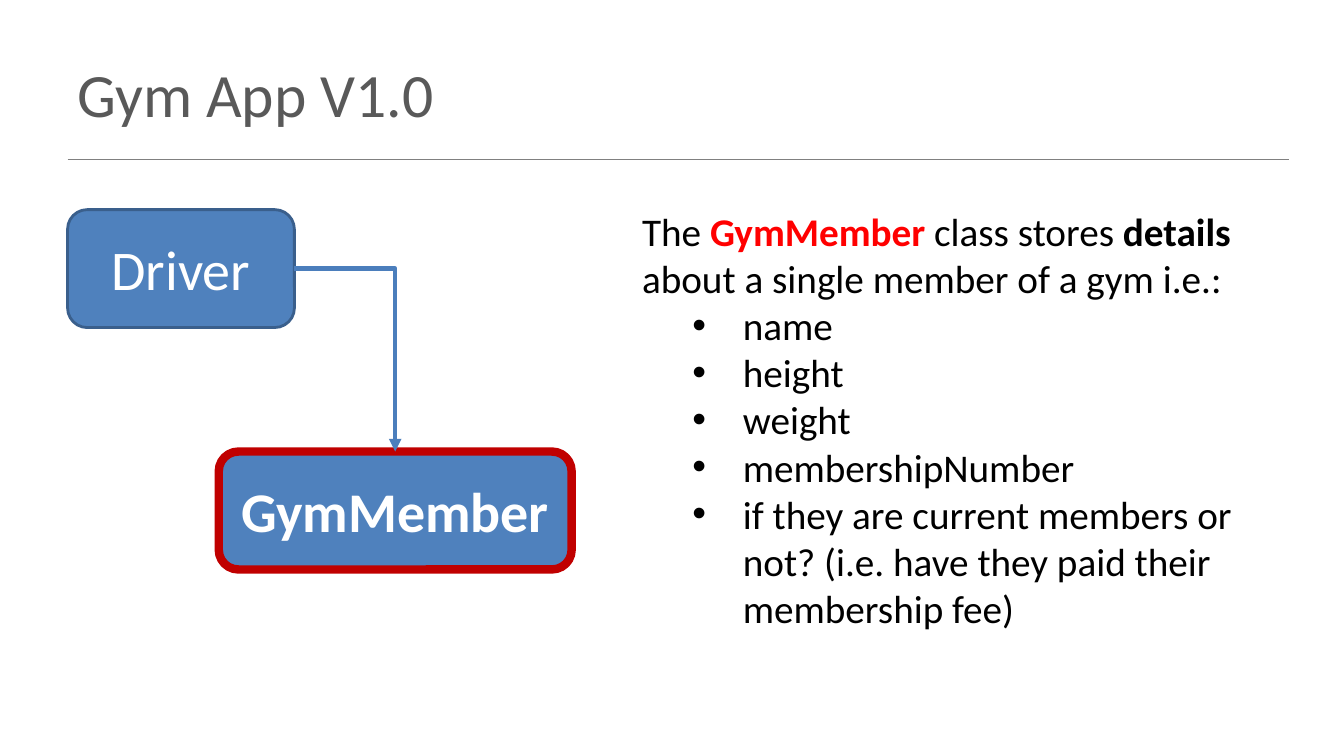
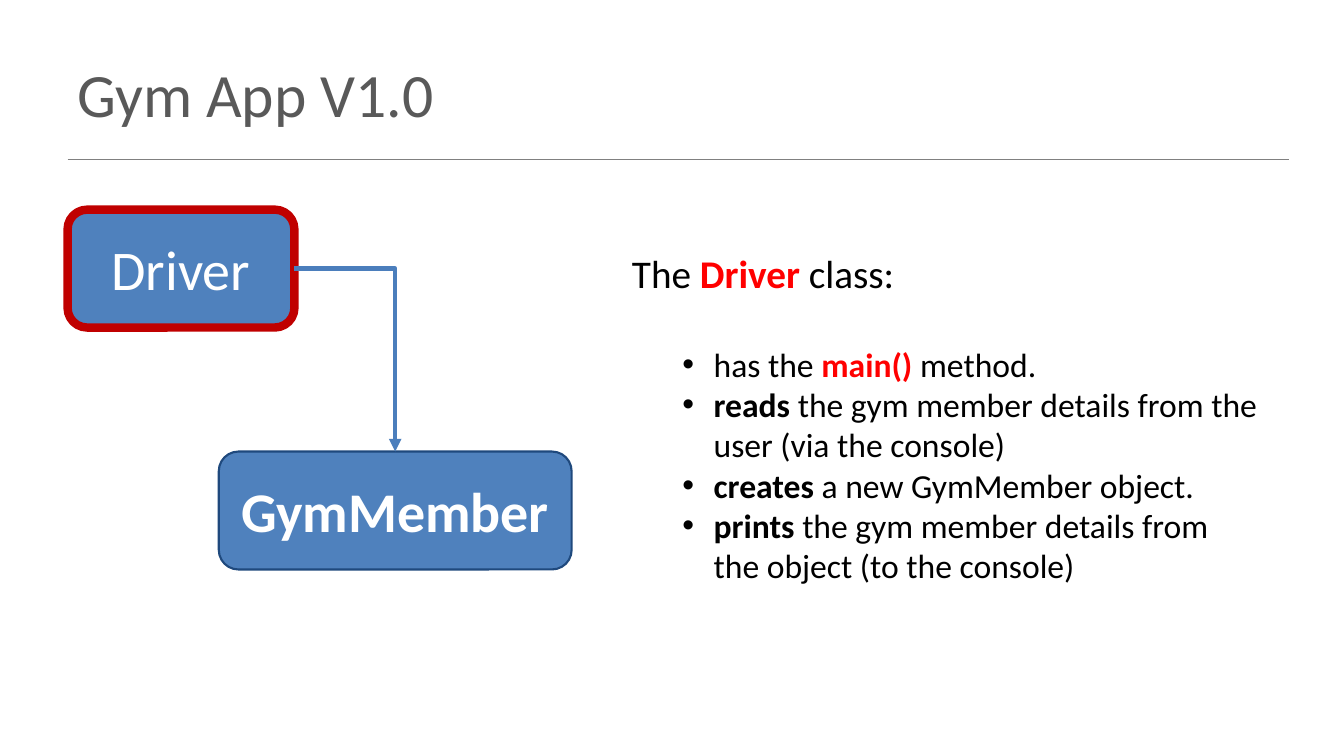
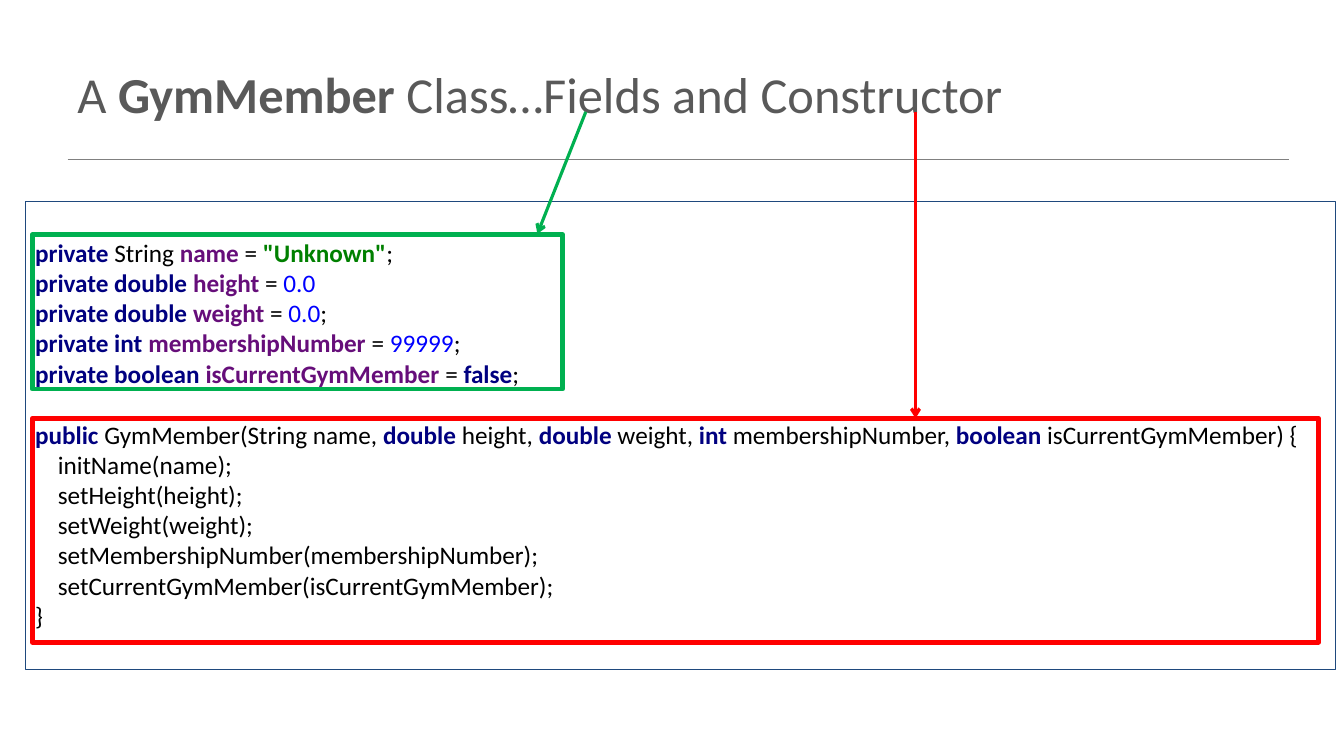
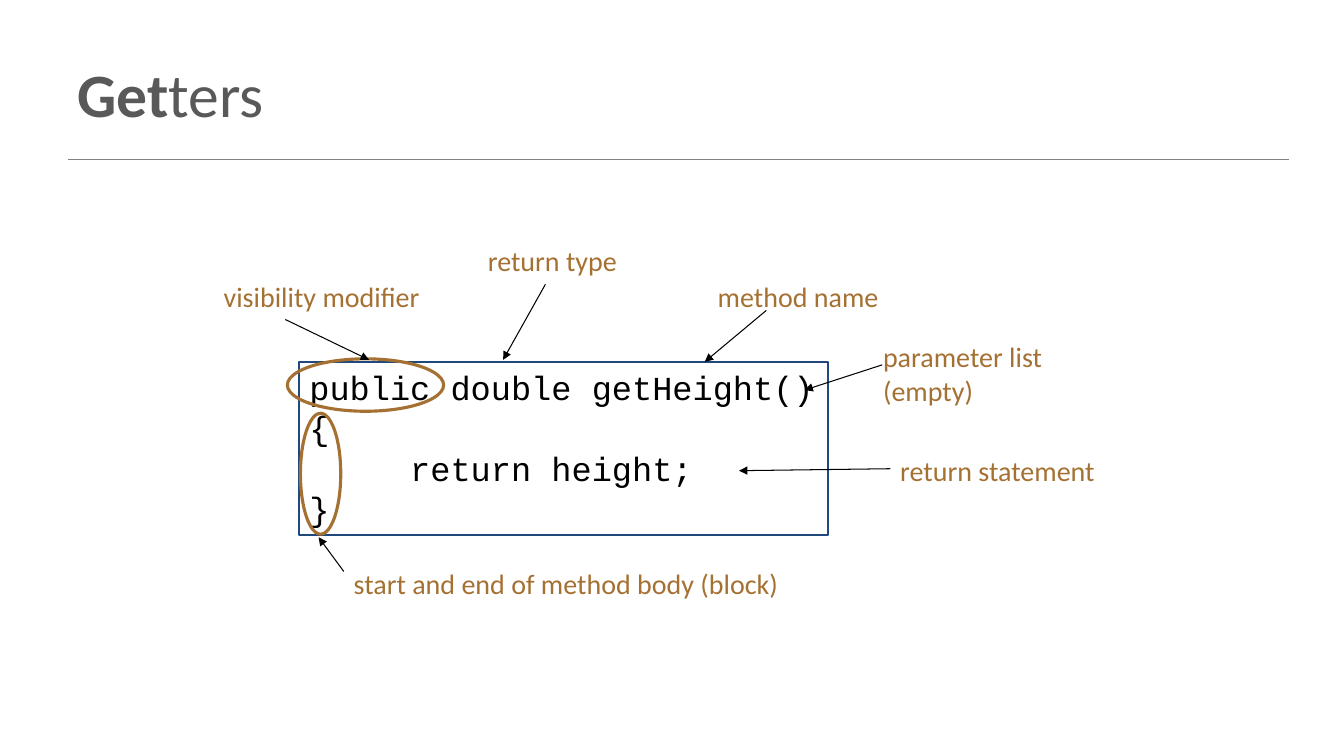
from dataclasses import dataclass

from pptx import Presentation
from pptx.dml.color import RGBColor
from pptx.enum.shapes import MSO_CONNECTOR as Connector, MSO_SHAPE as Preset
from pptx.enum.text import MSO_ANCHOR as Anchor, PP_ALIGN as Align
from pptx.oxml.ns import qn
from pptx.oxml.xmlchemy import OxmlElement
from pptx.util import Inches, Pt


@dataclass(frozen=True)
class Theme:
    font: str = "Calibri"
    code_font: str = "Courier New"
    title_size: int = 44
    long_title_size: int = 36
    class_size: int = 40
    body_size: int = 28
    detail_size: int = 24
    label_size: int = 20
    code_size: int = 18
    black: str = "000000"
    white: str = "FFFFFF"
    title: str = "595959"
    rule: str = "808080"
    class_fill: str = "4F81BD"
    class_line: str = "3A5F8C"
    elbow: str = "4B7EBC"
    highlight: str = "C00000"
    frame: str = "1F497D"
    red: str = "FF0000"
    green: str = "00B050"
    brown: str = "A57133"


THEME = Theme()

# Span style: colour (None keeps the paragraph colour) and bold
STYLES = {
    "plain": (None, False),
    "bold": (None, True),
    "key": (THEME.red, True),
    "keyword": ("000080", True),
    "field": ("660E7A", True),
    "string": ("008000", True),
    "number": ("0000FF", False),
}


@dataclass(frozen=True)
class Box:
    left: float
    top: float
    width: float
    height: float

    def inner(self, left, top, width, height):
        """Box placed relative to this one."""
        return Box(self.left + left, self.top + top, width, height)

    def point(self, x, y):
        return self.left + x, self.top + y

    def lengths(self):
        return [Inches(v) for v in (self.left, self.top, self.width, self.height)]


TITLE_BOX = Box(0.67, 0.3, 12, 1.25)
DIAGRAM_BOX = Box(0.67, 2.08, 5, 3.57)


def color(value):
    return RGBColor.from_string(value)


def write(para, spans, size, ink=THEME.black, font=THEME.font):
    """Add spans: each is plain text or a (text, style) pair."""
    for span in spans:
        text, style = (span, "plain") if isinstance(span, str) else span
        span_color, bold = STYLES[style]
        run = para.add_run()
        run.text = text
        run.font.name = font
        run.font.size = Pt(size)
        run.font.bold = bold
        run.font.color.rgb = color(span_color or ink)


def write_lines(frame, lines, size, ink=THEME.black, font=THEME.font):
    """Add one paragraph for each line and return the paragraphs."""
    frame.word_wrap = True
    paras = []
    for line in lines:
        para = frame.add_paragraph() if paras else frame.paragraphs[0]
        para.alignment = Align.LEFT
        write(para, line, size, ink, font)
        paras.append(para)
    return paras


def add_text(page, box, lines, size, ink=THEME.black, anchor=Anchor.TOP):
    frame = page.shapes.add_textbox(*box.lengths()).text_frame
    frame.vertical_anchor = anchor
    write_lines(frame, lines, size, ink)
    return frame


def add_bullet(frame, spans, size, margin, hanging):
    para = frame.add_paragraph()
    props = para._p.get_or_add_pPr()
    props.set("marL", str(Inches(margin)))
    props.set("indent", str(-Inches(hanging)))
    for tag, name, value in (("a:buFont", "typeface", "Arial"), ("a:buChar", "char", "•")):
        element = OxmlElement(tag)
        element.set(name, value)
        props.append(element)
    write(para, spans, size)
    return para


def add_outline(page, preset, box, line, weight, fill=None):
    shape = page.shapes.add_shape(preset, *box.lengths())
    shape.shadow.inherit = False
    if fill:
        shape.fill.solid()
        shape.fill.fore_color.rgb = color(fill)
    else:
        shape.fill.background()
    shape.line.color.rgb = color(line)
    shape.line.width = Pt(weight)
    return shape


def add_line(page, start, end, ink, weight, head=None, kind=Connector.STRAIGHT):
    line = page.shapes.add_connector(kind, *[Inches(v) for v in (*start, *end)])
    line.line.color.rgb = color(ink)
    line.line.width = Pt(weight)
    if head:
        tail = OxmlElement("a:tailEnd")
        tail.set("type", head)
        line.line._get_or_add_ln().append(tail)
    line._element.spPr.append(OxmlElement("a:effectLst"))
    return line


def add_page(deck, title, size=THEME.title_size):
    """Blank page with the shared rule and title."""
    page = deck.slides.add_slide(deck.slide_layouts[6])
    add_line(page, (0.67, 1.58), (12.78, 1.58), THEME.rule, 1)
    add_text(page, TITLE_BOX, [title], size, THEME.title, Anchor.MIDDLE)
    return page


def add_class(page, box, name, line, weight):
    shape = add_outline(page, Preset.ROUNDED_RECTANGLE, box, line, weight, THEME.class_fill)
    shape.text_frame.vertical_anchor = Anchor.MIDDLE
    para = write_lines(shape.text_frame, [[name]], THEME.class_size, THEME.white)[0]
    para.alignment = Align.CENTER
    return shape


def add_class_diagram(page, box, driver_line, member_line):
    """Driver at the top left, joined to GymMember at the bottom right."""
    height = 1.17
    driver_box = box.inner(0, 0, 2.25, height)
    member_box = box.inner(box.width - 3.5, box.height - height, 3.5, height)
    driver = add_class(page, driver_box, "Driver", *driver_line)
    member = add_class(page, member_box, ("GymMember", "bold"), *member_line)
    start = driver_box.point(driver_box.width, height / 2)
    end = member_box.point(member_box.width / 2, 0)
    elbow = add_line(page, start, end, THEME.elbow, 3, "triangle", Connector.ELBOW)
    elbow.begin_connect(driver, 3)
    elbow.end_connect(member, 0)
    elbow._element.spPr.find(qn("a:prstGeom")).set("prst", "bentConnector2")


def add_member_page(deck):
    page = add_page(deck, ["Gym App V1.0"])
    add_class_diagram(page, DIAGRAM_BOX, (THEME.class_line, 2), (THEME.highlight, 6))
    intro = ["The ", ("GymMember", "key"), " class stores ", ("details", "bold"),
             " about a single member of a gym i.e.:"]
    frame = add_text(page, Box(6.27, 2.01, 6.23, 4.34), [intro], THEME.body_size)
    for detail in ("name", "height", "weight", "membershipNumber",
                   "if they are current members or not? (i.e. have they paid their membership fee)"):
        add_bullet(frame, [detail], THEME.body_size, 1, 0.5)


def add_driver_page(deck):
    page = add_page(deck, ["Gym App V1.0"])
    add_class_diagram(page, DIAGRAM_BOX, (THEME.highlight, 6), (THEME.frame, 1.5))
    intro = ["The ", ("Driver", "key"), " class:"]
    frame = add_text(page, Box(6.17, 2.42, 6.4, 3.47), [intro], THEME.body_size)
    duties = [
        ["has the ", ("main() ", "key"), "method."],
        [("reads", "bold"), " the gym member details from the user (via the console)"],
        [("creates", "bold"), " a new GymMember object."],
        [("prints", "bold"), " the gym member details from the object (to the console)"],
    ]
    bullets = [add_bullet(frame, duty, THEME.detail_size, 0.81, 0.31) for duty in duties]
    bullets[0].space_before = Pt(34)


def field_line(kind, name, value, end=";"):
    """Declaration of a private field; kind and value are spans."""
    return [("private ", "keyword"), kind, (name + " ", "field"), "= ", value, end]


def add_class_code(page, box):
    """Source of the class, with its fields and constructor framed."""
    double = ("double ", "keyword")
    fields = [
        field_line("String ", "name", ('"Unknown"', "string")),
        field_line(double, "height", ("0.0", "number"), ""),
        field_line(double, "weight", ("0.0", "number")),
        field_line(("int ", "keyword"), "membershipNumber", ("99999", "number")),
        field_line(("boolean ", "keyword"), "isCurrentGymMember", ("false", "keyword")),
    ]
    constructor = [
        [("public ", "keyword"), "GymMember(String name, ", double, "height, ", double,
         "weight, ", ("int ", "keyword"), "membershipNumber, ", ("boolean ", "keyword"),
         "isCurrentGymMember) {"],
        ["    initName(name);"],
        ["    setHeight(height);"],
        ["    setWeight(weight);"],
        ["    setMembershipNumber(membershipNumber);"],
        ["    setCurrentGymMember(isCurrentGymMember);"],
        ["}"],
    ]
    frame = add_outline(page, Preset.RECTANGLE, box, THEME.frame, 0.75).text_frame
    frame.vertical_anchor = Anchor.TOP
    frame.margin_top = Inches(0.35)
    paras = write_lines(frame, fields + constructor, THEME.code_size)
    paras[len(fields)].space_before = Pt(22)

    for ink, region, start, end in (
        (THEME.green, (0.07, 0.33, 5.26, 1.53), (5.56, -0.89), (5.08, 0.32)),
        (THEME.red, (0.07, 2.15, 12.76, 2.22), (8.83, -0.89), (8.83, 2.15)),
    ):
        add_outline(page, Preset.RECTANGLE, box.inner(*region), ink, 3.5)
        add_line(page, box.point(*start), box.point(*end), ink, 2.25, "arrow")


def add_code_page(deck):
    title = ["A ", ("GymMember", "bold"), " Class…Fields and Constructor"]
    page = add_page(deck, title, THEME.long_title_size)
    add_class_code(page, Box(0.25, 2, 13, 4.64))


def add_annotated_getter(page, box):
    """Getter source with a label and an arrow for each of its parts."""
    code_box = box.inner(0.85, 1.22, 5.24, 1.72)
    frame = add_outline(page, Preset.RECTANGLE, code_box, THEME.frame, 1.5).text_frame
    frame.vertical_anchor = Anchor.TOP
    code = ["public double getHeight()", "{", "     return height;", "}"]
    write_lines(frame, [[line] for line in code], THEME.detail_size, font=THEME.code_font)

    for ring in ((0.73, 1.19, 1.55, 0.52), (0.86, 1.73, 0.4, 1.2)):
        add_outline(page, Preset.OVAL, box.inner(*ring), THEME.brown, 2.25)

    for text, place, start, end in (
        ("visibility modifier", (0, 0.35, 2.17, 0.44), (0.71, 0.8), (1.54, 1.2)),
        ("return type", (2.62, 0, 1.72, 0.44), (3.29, 0.45), (2.87, 1.2)),
        ("method name", (4.9, 0.35, 1.81, 0.44), (5.48, 0.71), (4.87, 1.22)),
        ("parameter list (empty)", (6.54, 0.95, 2.26, 0.77), (6.63, 1.25), (5.86, 1.5)),
        ("return statement", (6.71, 2.08, 2.19, 0.44), (6.71, 2.28), (5.21, 2.3)),
        ("start and end of method body (block)", (1.29, 3.2, 4.98, 0.44),
         (1.29, 3.3), (1.04, 2.96)),
    ):
        add_text(page, box.inner(*place), [[text]], THEME.label_size, THEME.brown)
        add_line(page, box.point(*start), box.point(*end), THEME.black, 0.75, "triangle")


def add_getter_page(deck):
    page = add_page(deck, [("Get", "bold"), "ters"])
    add_annotated_getter(page, Box(2.12, 2.37, 8.9, 3.64))


def main():
    deck = Presentation()
    deck.slide_width = Inches(13.33)
    deck.slide_height = Inches(7.5)
    for add in (add_member_page, add_driver_page, add_code_page, add_getter_page):
        add(deck)
    deck.save("out.pptx")


if __name__ == "__main__":
    main()
